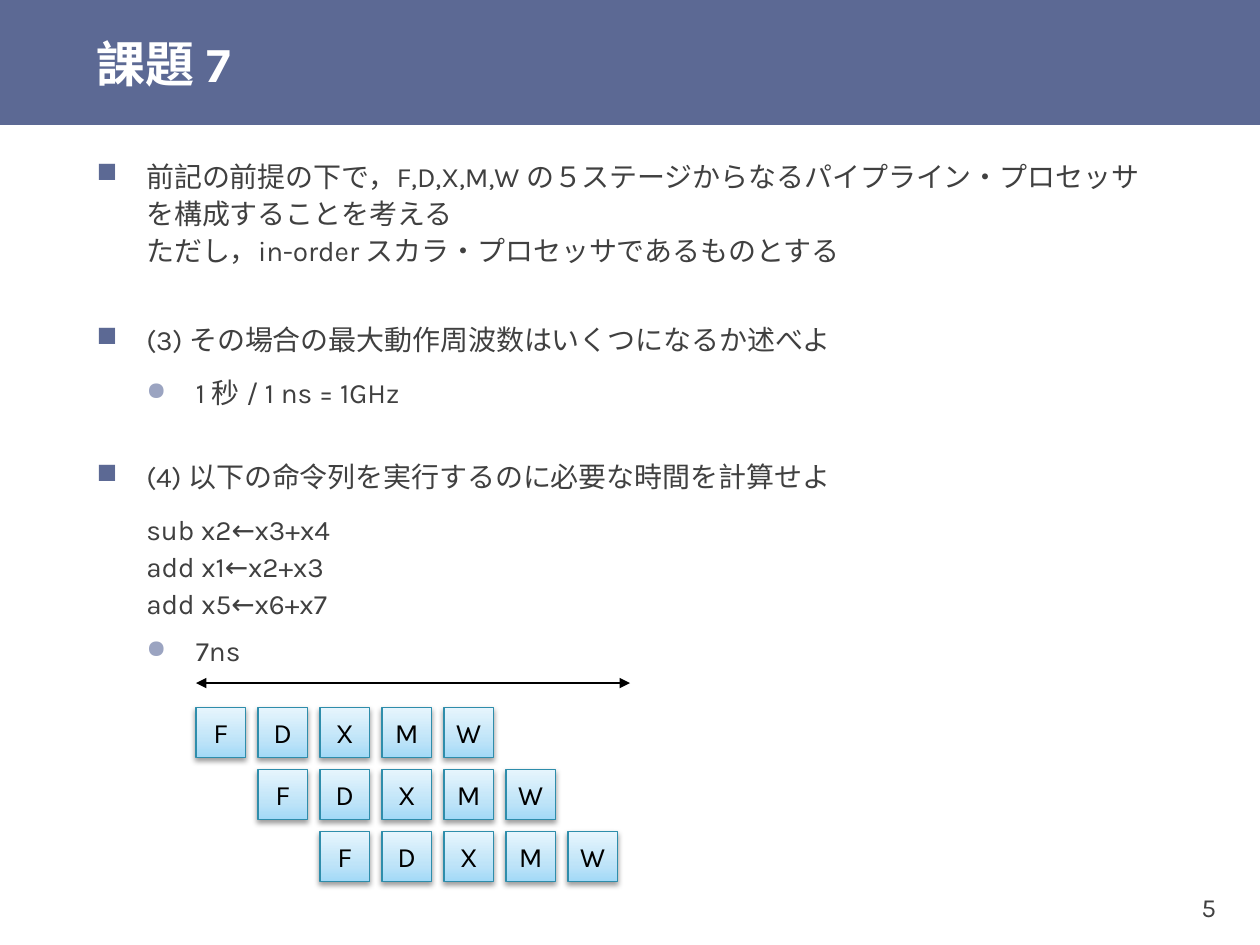
from dataclasses import dataclass

from lxml import etree
from pptx import Presentation
from pptx import util as u
from pptx.dml import color
from pptx.enum import shapes, text
from pptx.oxml import ns, parse_xml


@dataclass(frozen=True)
class Theme:
    font: str = "Karla"
    white: str = "FFFFFF"
    black: str = "000000"
    body: str = "404040"
    accent: str = "5C6994"
    accent_light: str = "9BA4C1"
    stage_line: str = "2E8DAB"
    stage_stops: tuple = ((0, "A2D9F7"), (35, "BFE4F8"), (100, "E6F5FD"))
    title_size: int = 28
    body_size: int = 16
    number_size: int = 15


@dataclass(frozen=True)
class Style:
    margin: float = 1.0
    hanging: float = 1.0
    before: int = 24
    after: int = 6
    bullet: str = ""
    bullet_color: str = ""
    bullet_percent: int = 100


THEME = Theme()
QUESTION = Style(bullet="■", bullet_color=THEME.accent)
ANSWER = Style(2, 1, 3, 3, "●", THEME.accent_light, 90)
CODE = Style(1, 0, 3, 3)

CONTENT = [
    (QUESTION, ["前記の前提の下で，F,D,X,M,W の５ステージからなるパイプライン・プロセッサを構成することを考える",
                "ただし，in-order スカラ・プロセッサであるものとする"]),
    (QUESTION, ["(3) その場合の最大動作周波数はいくつになるか述べよ"]),
    (ANSWER, ["1 秒 / 1 ns = 1GHz"]),
    (QUESTION, ["(4) 以下の命令列を実行するのに必要な時間を計算せよ"]),
    (CODE, ["sub x2←x3+x4", "add x1←x2+x3", "add x5←x6+x7"]),
    (ANSWER, ["7ns"]),
]
STAGES = "FDXMW"
INSTRUCTIONS = 3
STAGE_LEFT, STAGE_TOP = 3.95, 14.27
STAGE_SIZE, STAGE_PITCH = 1, 1.25


def rgb(value):
    return color.RGBColor.from_string(value)


def add_run(paragraph, words, size, ink, bold=False):
    run = paragraph.add_run()
    run.text = words
    run.font.size = u.Pt(size)
    run.font.name = THEME.font
    run.font.bold = bold
    run.font.color.rgb = rgb(ink)
    east_asian = etree.Element(ns.qn("a:ea"), typeface=THEME.font)
    run.font._element.find(ns.qn("a:latin")).addnext(east_asian)


def set_frame(frame, anchor, wrap, horizontal=0.25, vertical=0.13):
    frame.vertical_anchor = anchor
    frame.word_wrap = wrap
    frame.margin_left = frame.margin_right = u.Cm(horizontal)
    frame.margin_top = frame.margin_bottom = u.Cm(vertical)


def add_band(slide, width):
    band = slide.shapes.add_shape(shapes.MSO_SHAPE.RECTANGLE, 0, 0, width, u.Cm(2.52))
    band.shadow.inherit = False
    band.fill.solid()
    band.fill.fore_color.rgb = rgb(THEME.accent)
    band.line.fill.background()
    # Send the band behind the title
    slide.shapes._spTree.insert(2, band._element)


def set_title(slide, words):
    title = slide.shapes.title
    title.left, title.top = u.Cm(1.7), 0
    title.width, title.height = u.Cm(23.7), u.Cm(2.52)
    set_frame(title.text_frame, text.MSO_ANCHOR.MIDDLE, True, vertical=0)
    paragraph = title.text_frame.paragraphs[0]
    paragraph.alignment = text.PP_ALIGN.LEFT
    add_run(paragraph, words, THEME.title_size, THEME.white, bold=True)


def format_paragraph(paragraph, style, first):
    properties = paragraph._p.get_or_add_pPr()
    properties.set("marL", str(u.Cm(style.margin)))
    properties.set("indent", str(-u.Cm(style.hanging)))
    if style.bullet:
        bullet_color = etree.SubElement(properties, ns.qn("a:buClr"))
        etree.SubElement(bullet_color, ns.qn("a:srgbClr"), val=style.bullet_color)
        etree.SubElement(properties, ns.qn("a:buSzPct"), val=str(style.bullet_percent * 1000))
        etree.SubElement(properties, ns.qn("a:buChar"), char=style.bullet)
    paragraph.line_spacing = 1.1
    paragraph.space_before = u.Pt(0 if first else style.before)
    paragraph.space_after = u.Pt(style.after)


def add_body(slide):
    box = slide.shapes.add_textbox(u.Cm(1.7), u.Cm(3.02), u.Cm(22), u.Cm(7))
    frame = box.text_frame
    set_frame(frame, text.MSO_ANCHOR.TOP, True)
    for index, (style, lines) in enumerate(CONTENT):
        paragraph = frame.add_paragraph() if index else frame.paragraphs[0]
        format_paragraph(paragraph, style, first=index == 0)
        for number, line in enumerate(lines):
            if number:
                paragraph.add_line_break()
            add_run(paragraph, line, THEME.body_size, THEME.body)


def add_stage(group, name, left, top):
    stage = group.shapes.add_shape(shapes.MSO_SHAPE.RECTANGLE, u.Cm(left), u.Cm(top),
                                   u.Cm(STAGE_SIZE), u.Cm(STAGE_SIZE))
    stage.line.color.rgb = rgb(THEME.stage_line)
    stage.line.width = u.Pt(0.75)
    # Three-stop gradient running upwards, and a soft shadow below
    stops = "".join(f'<a:gs pos="{position * 1000}"><a:srgbClr val="{value}"/></a:gs>'
                    for position, value in THEME.stage_stops)
    properties = stage._element.spPr
    properties.find(ns.qn("a:prstGeom")).addnext(parse_xml(
        f'<a:gradFill {ns.nsdecls("a")} rotWithShape="1"><a:gsLst>{stops}</a:gsLst>'
        '<a:lin ang="16200000" scaled="0"/></a:gradFill>'))
    properties.append(parse_xml(
        f'<a:effectLst {ns.nsdecls("a")}><a:outerShdw blurRad="{u.Pt(3.1)}" dist="{u.Pt(1.6)}" '
        f'dir="5400000" rotWithShape="0"><a:srgbClr val="{THEME.black}"><a:alpha val="38000"/>'
        '</a:srgbClr></a:outerShdw></a:effectLst>'))
    set_frame(stage.text_frame, text.MSO_ANCHOR.MIDDLE, False)
    paragraph = stage.text_frame.paragraphs[0]
    paragraph.alignment = text.PP_ALIGN.CENTER
    add_run(paragraph, name, THEME.body_size, THEME.black)


def add_pipeline(slide):
    # Each instruction starts one stage later than the one above
    for row in range(INSTRUCTIONS):
        group = slide.shapes.add_group_shape()
        for column, name in enumerate(STAGES, start=row):
            add_stage(group, name, STAGE_LEFT + column * STAGE_PITCH,
                      STAGE_TOP + row * STAGE_PITCH)


def add_time_arrow(slide):
    y = u.Cm(13.77)
    arrow = slide.shapes.add_connector(shapes.MSO_CONNECTOR.STRAIGHT,
                                       u.Cm(STAGE_LEFT), y, u.Cm(12.7), y)
    arrow.line.color.rgb = rgb(THEME.black)
    arrow.line.width = u.Pt(0.75)
    line = arrow.line._get_or_add_ln()
    for end in ("a:headEnd", "a:tailEnd"):
        etree.SubElement(line, ns.qn(end), type="triangle")
    etree.SubElement(arrow._element.spPr, ns.qn("a:effectLst"))


def add_page_number(slide, number):
    box = slide.shapes.add_textbox(u.Cm(22.7), u.Cm(17.53), u.Cm(2), u.Cm(1.52))
    set_frame(box.text_frame, text.MSO_ANCHOR.MIDDLE, False, 0.18, 0.1)
    paragraph = box.text_frame.paragraphs[0]
    paragraph.alignment = text.PP_ALIGN.RIGHT
    add_run(paragraph, number, THEME.number_size, THEME.body)


def main():
    presentation = Presentation()
    presentation.slide_width, presentation.slide_height = u.Cm(25.4), u.Cm(19.05)
    slide = presentation.slides.add_slide(presentation.slide_layouts[5])
    # Header
    add_band(slide, presentation.slide_width)
    set_title(slide, "課題 7")
    # Questions and answers
    add_body(slide)
    # Pipeline diagram
    add_pipeline(slide)
    add_time_arrow(slide)
    # Footer
    add_page_number(slide, "5")
    presentation.save("out.pptx")


if __name__ == "__main__":
    main()
